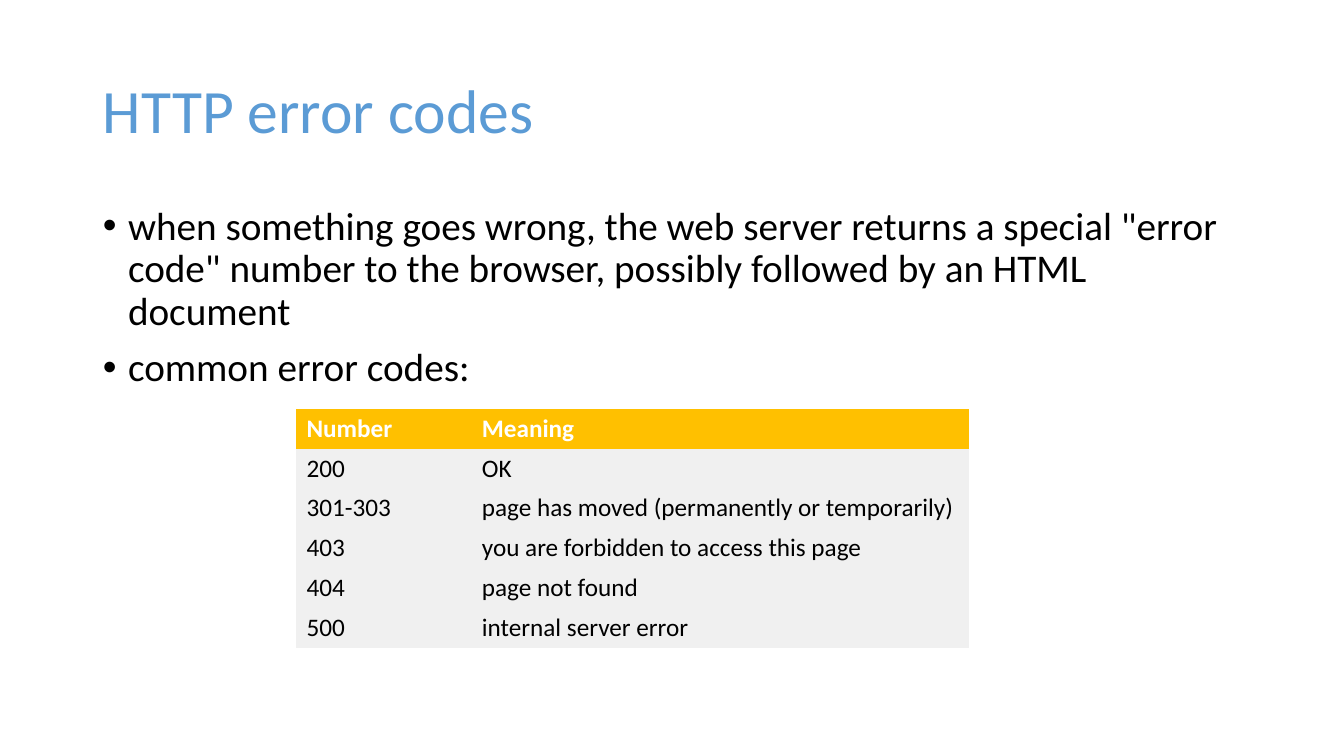
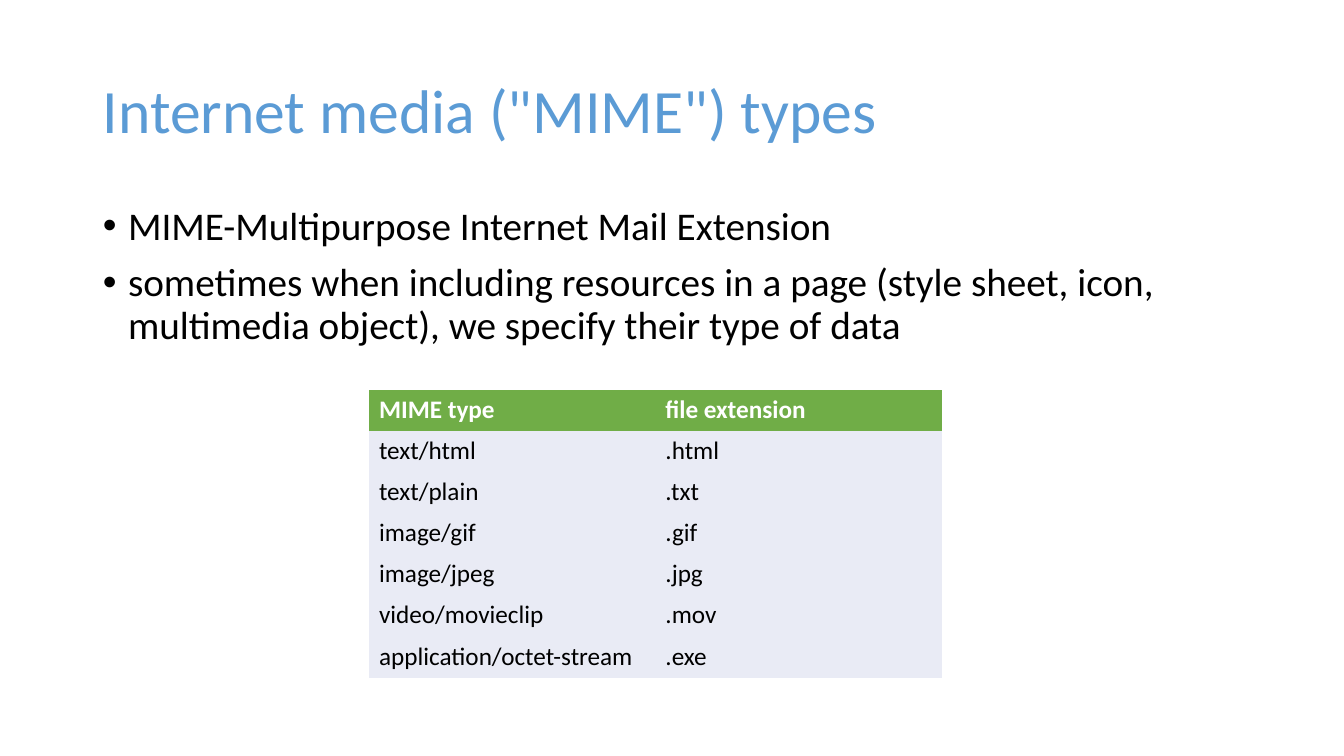
from dataclasses import dataclass
from pptx import Presentation
from pptx.dml.color import RGBColor as RGB
from pptx.enum.text import MSO_ANCHOR as Anchor, MSO_AUTO_SIZE as Fit, PP_ALIGN as Align
from pptx.oxml.ns import qn
from pptx.util import Inches, Pt


@dataclass(frozen=True)
class Theme:
    face: str = "Calibri"
    title: str = "5B9BD5"
    ink: str = "000000"
    white: str = "FFFFFF"
    gold: str = "FFC000"
    grey: str = "F0F0F0"
    green: str = "70AD47"
    pale: str = "E9EBF5"
    head_size: int = 44
    body_size: int = 28
    cell_size: int = 18
    plain_grid: str = "{2D5ABB26-0587-4C30-8999-92F81FD0307C}"


T = Theme()
TITLE_BOX = (0.92, 0.4, 11.5, 1.45)
BODY_BOX = (0.92, 2, 11.5, 4.76)


# Shared helpers
def put(obj, **vals):
    for name, val in vals.items():
        setattr(obj, name, val)


def place(shape, box):
    names = ("left", "top", "width", "height")
    put(shape, **dict(zip(names, map(Inches, box))))


def style(para, size, color, bold=False):
    for run in para.runs:
        put(run.font, name=T.face, size=Pt(size), bold=bold)
        run.font.color.rgb = RGB.from_string(color)


# Title region
def add_title(slide, text, box):
    shape = slide.shapes.title
    place(shape, box)
    frame = shape.text_frame
    frame.text = text
    put(frame, word_wrap=True, auto_size=Fit.NONE, vertical_anchor=Anchor.MIDDLE)
    para = frame.paragraphs[0]
    put(para, alignment=Align.LEFT, line_spacing=0.9)
    style(para, T.head_size, T.title)


# Bullet list region
def add_list(slide, lines, box):
    shape = slide.placeholders[1]
    place(shape, box)
    frame = shape.text_frame
    frame.text = "\n".join(lines)
    put(frame, word_wrap=True, auto_size=Fit.NONE, vertical_anchor=Anchor.TOP)
    for para in frame.paragraphs:
        put(para, line_spacing=0.9, space_before=Pt(10))
        props = para._p.get_or_add_pPr()
        props.set("marL", str(Inches(0.25)))
        props.set("indent", str(Inches(-0.25)))
        style(para, T.body_size, T.ink)


# Table region
def add_grid(slide, rows, box, cols, head, fill):
    spot = map(Inches, box)
    grid = slide.shapes.add_table(len(rows), len(cols), *spot).table
    grid.horz_banding = False
    grid._tbl.tblPr.find(qn("a:tableStyleId")).text = T.plain_grid
    for col, width in zip(grid.columns, cols):
        col.width = Inches(width)
    for r, row in enumerate(rows):
        top = r == 0
        for c, text in enumerate(row):
            cell = grid.cell(r, c)
            cell.text = text
            put(cell, margin_left=Inches(0.1), margin_right=Inches(0.1),
                margin_top=Inches(0.04), margin_bottom=Inches(0.04))
            cell.fill.solid()
            cell.fill.fore_color.rgb = RGB.from_string(head if top else fill)
            style(cell.text_frame.paragraphs[0], T.cell_size,
                  T.white if top else T.ink, top)


# Slide type: title, list and table
def add_page(deck, title, lines, **table):
    slide = deck.slides.add_slide(deck.slide_layouts[1])
    add_title(slide, title, TITLE_BOX)
    add_list(slide, lines, BODY_BOX)
    add_grid(slide, **table)


deck = Presentation()
put(deck, slide_width=Inches(13.33), slide_height=Inches(7.5))

add_page(
    deck, "HTTP error codes",
    ['when something goes wrong, the web server returns a special "error code" '
     "number to the browser, possibly followed by an HTML document",
     "common error codes:"],
    rows=[("Number", "Meaning"),
          ("200", "OK"),
          ("301-303", "page has moved (permanently or temporarily)"),
          ("403", "you are forbidden to access this page"),
          ("404", "page not found"),
          ("500", "internal server error")],
    box=(2.94, 4.06, 6.67, 2.37), cols=(1.74, 4.93), head=T.gold, fill=T.grey)

add_page(
    deck, 'Internet media ("MIME") types',
    ["MIME-Multipurpose Internet Mail Extension",
     "sometimes when including resources in a page (style sheet, icon, "
     "multimedia object), we specify their type of data"],
    rows=[("MIME type", "file extension"),
          ("text/html", ".html"),
          ("text/plain", ".txt"),
          ("image/gif", ".gif"),
          ("image/jpeg", ".jpg"),
          ("video/movieclip", ".mov"),
          ("application/octet-stream", ".exe")],
    box=(3.66, 3.87, 5.69, 2.86), cols=(2.84, 2.84), head=T.green, fill=T.pale)

deck.save("out.pptx")
